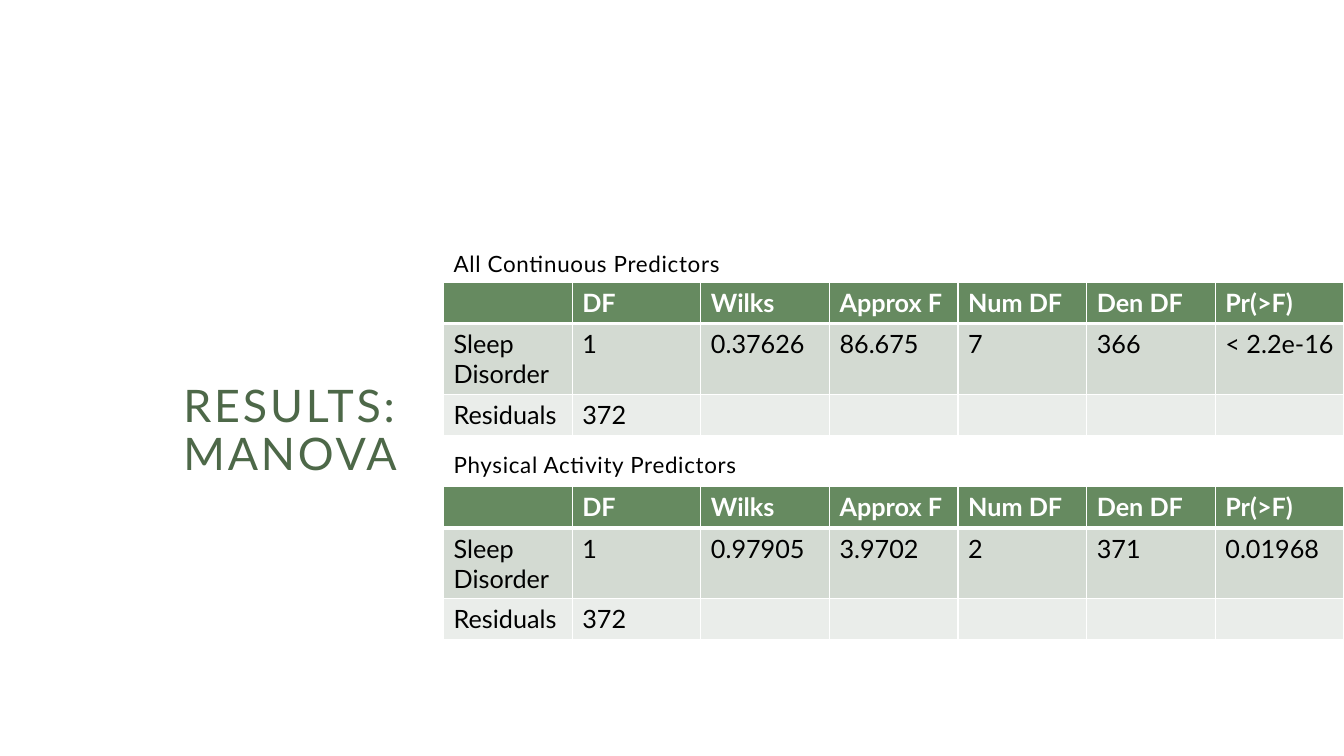
from dataclasses import dataclass

from lxml import etree
from pptx import Presentation
from pptx.dml.color import RGBColor
from pptx.enum.text import MSO_ANCHOR
from pptx.oxml.ns import qn
from pptx.util import Inches, Pt

MIDDLE = MSO_ANCHOR.MIDDLE

FONT = "Lato"
WHITE = RGBColor(0xFF, 0xFF, 0xFF)
BLACK = RGBColor(0x00, 0x00, 0x00)
TITLE = RGBColor(0x4D, 0x68, 0x48)
HEAD = RGBColor(0x66, 0x8A, 0x60)
BANDS = (HEAD, RGBColor(0xD3, 0xDA, 0xD2), RGBColor(0xEA, 0xED, 0xEA))

LEFT, WIDTH, ROW = 4.4, 8.93, 0.41
HEADS = ("", "DF", "Wilks", "Approx F", "Num DF", "Den DF", "Pr(>F)")
RESIDUALS = ("Residuals", "372", "", "", "", "", "")


@dataclass
class Manova:
    label: str
    top: float
    stats: tuple[str, ...]


TESTS = (
    Manova("All Continuous Predictors", 2.8,
           ("1", "0.37626", "86.675", "7", "366", "< 2.2e-16")),
    Manova("Physical Activity Predictors", 4.83,
           ("1", "0.97905", "3.9702", "2", "371", "0.01968")),
)


def write(para, text: str, *, size: float, color: RGBColor, bold: bool = False,
          track: float = 0, line: float = 1, before: float = 0) -> None:
    """Fill a paragraph; track is the letter spacing in points."""
    para.line_spacing = line
    para.space_before = Pt(before)
    run = para.add_run()
    run.text = text
    font = run.font
    font.name, font.size, font.bold = FONT, Pt(size), bold
    font.color.rgb = color
    if track:
        font._element.set("spc", str(round(track * 100)))


def add_box(slide, left: float, top: float, width: float, height: float):
    box = slide.shapes.add_textbox(*map(Inches, (left, top, width, height)))
    frame = box.text_frame
    frame.word_wrap = True
    frame.vertical_anchor = MIDDLE
    return frame


def set_edges(cell, top: float, bottom: float) -> None:
    """Draw white cell borders, with top and bottom widths in points."""
    props = cell._tc.get_or_add_tcPr()
    for side, width in (("L", 1), ("R", 1), ("T", top), ("B", bottom)):
        edge = etree.SubElement(props, qn(f"a:ln{side}"), w=str(Pt(width)))
        fill = etree.SubElement(edge, qn("a:solidFill"))
        etree.SubElement(fill, qn("a:srgbClr"), val=str(WHITE))


def add_grid(slide, test: Manova) -> None:
    rows = (HEADS, ("Sleep Disorder", *test.stats), RESIDUALS)
    frame = slide.shapes.add_table(
        len(rows), len(HEADS), Inches(LEFT), Inches(test.top),
        Inches(WIDTH), Inches(ROW * len(rows)))
    table = frame.table
    table.horz_banding = False
    for col in table.columns:
        col.width = Inches(WIDTH / len(HEADS))
    for r, (row, band) in enumerate(zip(rows, BANDS)):
        table.rows[r].height = Inches(ROW)
        head = r == 0
        for c, text in enumerate(row):
            cell = table.cell(r, c)
            set_edges(cell, top=3 if r == 1 else 1, bottom=3 if head else 1)
            cell.fill.solid()
            cell.fill.fore_color.rgb = band
            if text:
                write(cell.text_frame.paragraphs[0], text, size=18,
                      color=WHITE if head else BLACK, bold=head)


def main() -> None:
    deck = Presentation()
    deck.slide_width, deck.slide_height = Inches(13.33), Inches(7.5)
    slide = deck.slides.add_slide(deck.slide_layouts[6])

    title = add_box(slide, 1.72, 3.75, 3.39, 1.07)
    write(title.paragraphs[0], "RESULTS: MANOVA", size=32, color=TITLE,
          track=2, line=0.9)

    labels = add_box(slide, LEFT, 2.38, 5.19, 2.33)
    for i, test in enumerate(TESTS):
        para = labels.add_paragraph() if i else labels.paragraphs[0]
        write(para, test.label, size=16, color=BLACK, track=0.5, line=1.5,
              before=115 * i)
        add_grid(slide, test)

    deck.save("out.pptx")


if __name__ == "__main__":
    main()
